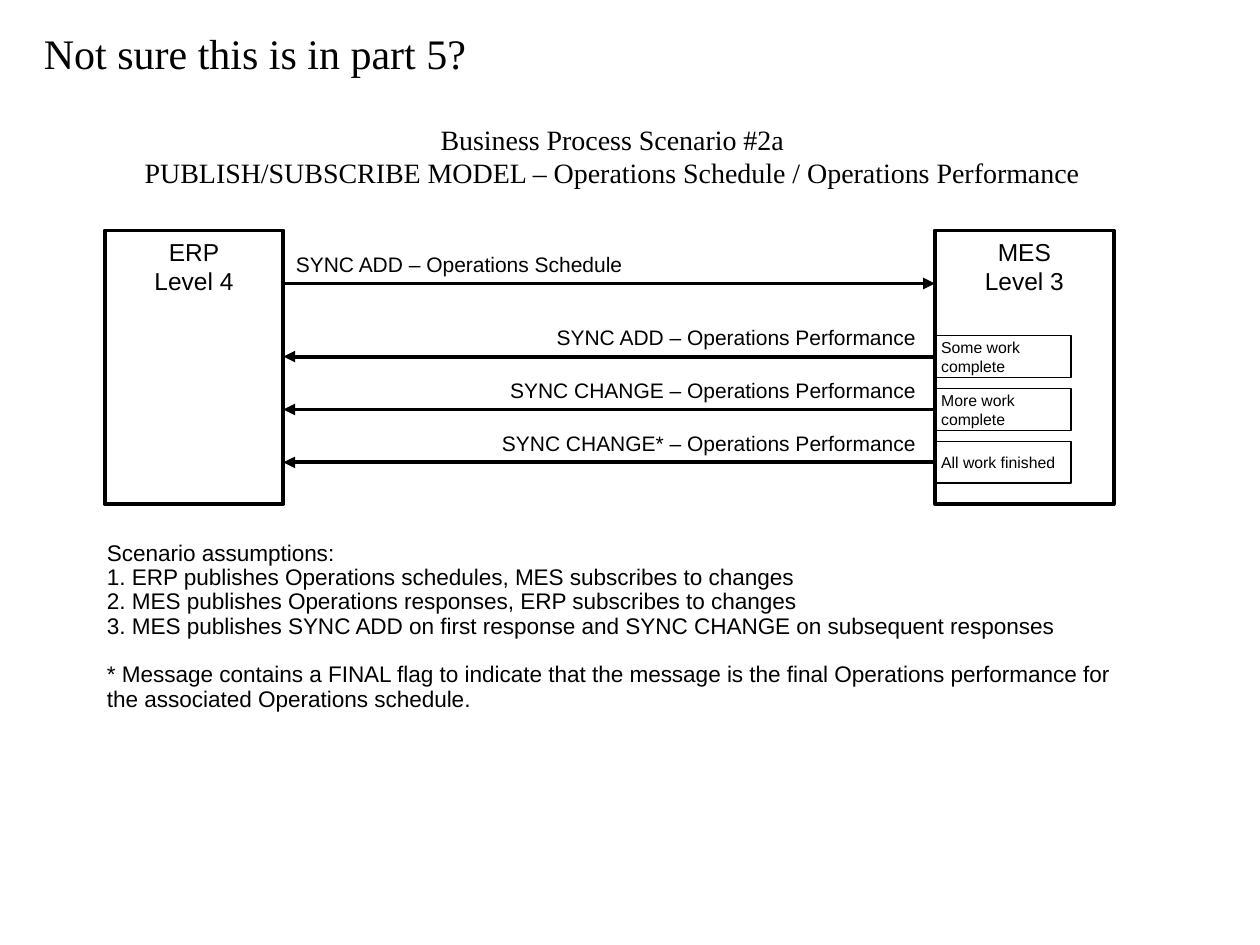
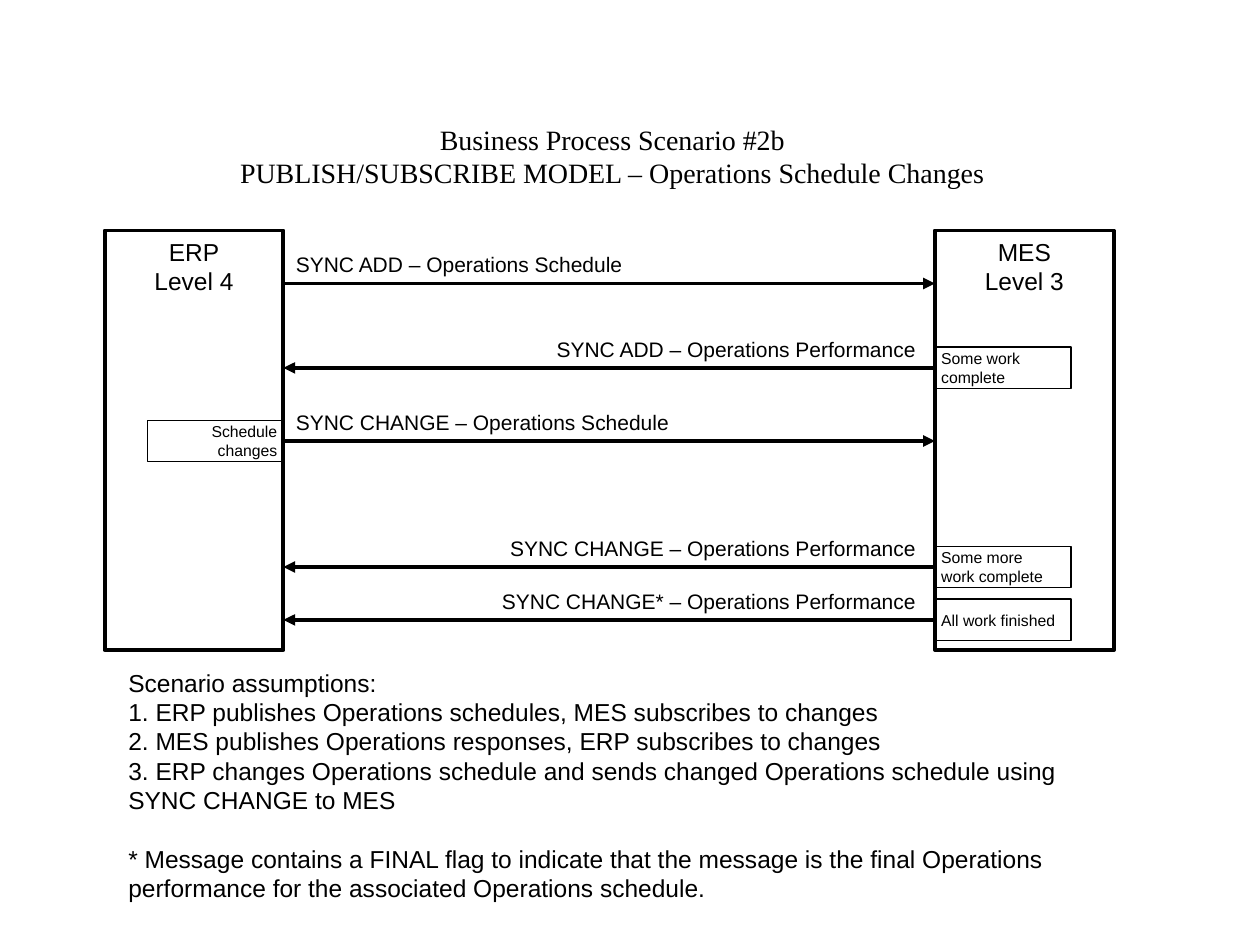
from dataclasses import dataclass

from lxml import etree
from pptx import Presentation
from pptx.dml.color import RGBColor
from pptx.enum.shapes import MSO_CONNECTOR, MSO_SHAPE
from pptx.enum.text import MSO_ANCHOR, MSO_AUTO_SIZE, PP_ALIGN
from pptx.oxml.ns import qn
from pptx.util import Inches, Pt

LEFT, CENTER, RIGHT = PP_ALIGN.LEFT, PP_ALIGN.CENTER, PP_ALIGN.RIGHT
TOP, MIDDLE = MSO_ANCHOR.TOP, MSO_ANCHOR.MIDDLE
NO_AUTOFIT = MSO_AUTO_SIZE.NONE
RECTANGLE = MSO_SHAPE.RECTANGLE
STRAIGHT = MSO_CONNECTOR.STRAIGHT

BLACK = RGBColor(0x00, 0x00, 0x00)
WHITE = RGBColor(0xFF, 0xFF, 0xFF)
SANS = "Arial"
SERIF = "Times New Roman"

SYSTEM_TOP, SYSTEM_WIDTH = 1.83, 1.42
ERP_LEFT, MES_LEFT = 0.83, 7.42
ERP_EDGE = ERP_LEFT + SYSTEM_WIDTH
HEAVY, THIN = 2.24, 0.74
NOTE_WIDTH, NOTE_HEIGHT = 1.08, 0.33
LABEL_HEIGHT = 0.3
LABEL_RIGHT = 7.37
HEADING_CENTER = 4.86

FINAL_FLAG = (
    "* Message contains a FINAL flag to indicate that the message is the final "
    "Operations performance for the associated Operations schedule."
)
SHARED_ASSUMPTIONS = [
    "Scenario assumptions:",
    "1. ERP publishes Operations schedules, MES subscribes to changes",
    "2. MES publishes Operations responses, ERP subscribes to changes",
]


@dataclass(frozen=True)
class Message:
    y: float
    label: str
    label_width: float
    from_erp: bool = False
    note: tuple[str, ...] = ()


@dataclass(frozen=True)
class Assumptions:
    box: tuple[float, float, float, float]
    third: str
    size: float
    spacing: float
    gap: float


@dataclass(frozen=True)
class Scenario:
    heading: tuple[str, str]
    heading_width: float
    system_height: float
    messages: tuple[Message, ...]
    assumptions: Assumptions
    query: str = ""


def write(shape, lines, *, size, font=SANS, align=LEFT, anchor=TOP, wrap=True,
          side=0.1, spacing=None, last_gap=0.0) -> None:
    frame = shape.text_frame
    frame.auto_size = NO_AUTOFIT
    frame.word_wrap = wrap
    frame.vertical_anchor = anchor
    frame.margin_left = frame.margin_right = Inches(side)
    frame.margin_top = frame.margin_bottom = Inches(0.05)
    for index, line in enumerate(lines):
        paragraph = frame.paragraphs[0] if index == 0 else frame.add_paragraph()
        paragraph.alignment = align
        paragraph.line_spacing = spacing
        run = paragraph.add_run()
        run.text = line
        run.font.size = Pt(size)
        run.font.name = font
        run.font.color.rgb = BLACK
    if last_gap:
        paragraph.space_before = Pt(last_gap)


def add_text(slide, box, lines, **text_format) -> None:
    textbox = slide.shapes.add_textbox(*map(Inches, box))
    write(textbox, lines, **text_format)


def add_box(slide, box, lines, *, weight: float, filled: bool, **text_format) -> None:
    rectangle = slide.shapes.add_shape(RECTANGLE, *map(Inches, box))
    rectangle.shadow.inherit = False
    if filled:
        rectangle.fill.solid()
        rectangle.fill.fore_color.rgb = WHITE
    else:
        rectangle.fill.background()
    rectangle.line.color.rgb = BLACK
    rectangle.line.width = Pt(weight)
    write(rectangle, lines, **text_format)


def add_arrow(slide, start: float, end: float, y: float) -> None:
    arrow = slide.shapes.add_connector(
        STRAIGHT, Inches(start), Inches(y), Inches(end), Inches(y))
    arrow.line.color.rgb = BLACK
    arrow.line.width = Pt(HEAVY)
    etree.SubElement(arrow.line._get_or_add_ln(), qn("a:tailEnd"), type="triangle")
    etree.SubElement(arrow._element.spPr, qn("a:effectLst"))


def add_message(slide, message: Message) -> None:
    y = message.y
    if message.from_erp:
        start, end, align = ERP_EDGE, MES_LEFT, LEFT
        label_left, note_left, note_align = ERP_EDGE, ERP_EDGE - NOTE_WIDTH, RIGHT
    else:
        start, end, align = MES_LEFT, ERP_EDGE, RIGHT
        label_left = LABEL_RIGHT - message.label_width
        note_left, note_align = MES_LEFT, LEFT
    add_arrow(slide, start, end, y)
    add_text(slide, (label_left, y - LABEL_HEIGHT, message.label_width, LABEL_HEIGHT),
             [message.label], size=12, align=align, wrap=False)
    if message.note:
        add_box(slide, (note_left, y - NOTE_HEIGHT / 2, NOTE_WIDTH, NOTE_HEIGHT),
                message.note, weight=THIN, filled=False, size=9, align=note_align,
                anchor=MIDDLE, wrap=False, side=0.05)


def add_heading(slide, lines, width: float) -> None:
    heading = slide.shapes.title
    heading.left, heading.top = Inches(HEADING_CENTER - width / 2), Inches(0.92)
    heading.width, heading.height = Inches(width), Inches(0.64)
    write(heading, lines, size=16, font=SERIF, align=CENTER, wrap=False)


def add_scenario(deck, scenario: Scenario) -> None:
    slide = deck.slides.add_slide(deck.slide_layouts.get_by_name("Title Only"))
    add_heading(slide, scenario.heading, scenario.heading_width)
    for left, lines in ((ERP_LEFT, ("ERP", "Level 4")), (MES_LEFT, ("MES", "Level 3"))):
        add_box(slide, (left, SYSTEM_TOP, SYSTEM_WIDTH, scenario.system_height), lines,
                weight=HEAVY, filled=True, size=14, align=CENTER)
    for message in scenario.messages:
        add_message(slide, message)
    assumptions = scenario.assumptions
    add_text(slide, assumptions.box,
             [*SHARED_ASSUMPTIONS, assumptions.third, FINAL_FLAG],
             size=assumptions.size, spacing=assumptions.spacing,
             last_gap=assumptions.gap)
    if scenario.query:
        add_text(slide, (0.25, 0.17, 4.17, 0.5), [scenario.query], size=24, font=SERIF)


SCHEDULE_ADDED = Message(2.25, "SYNC ADD – Operations Schedule", 2.8, from_erp=True)


def performance(y: float, verb: str, width: float, *note: str) -> Message:
    return Message(y, f"SYNC {verb} – Operations Performance", width, note=note)


SCENARIOS = (
    Scenario(
        heading=("Business Process Scenario #2a",
                 "PUBLISH/SUBSCRIBE MODEL – Operations Schedule / Operations Performance"),
        heading_width=7.63,
        system_height=2.17,
        messages=(
            SCHEDULE_ADDED,
            performance(2.83, "ADD", 3.06, "Some work", "complete"),
            performance(3.25, "CHANGE", 3.42, "More work", "complete"),
            performance(3.67, "CHANGE*", 3.49, "All work finished"),
        ),
        assumptions=Assumptions(
            box=(0.75, 4.25, 8.42, 1.75),
            third="3. MES publishes SYNC ADD on first response and SYNC CHANGE "
                  "on subsequent responses",
            size=12.9, spacing=0.9, gap=13.9),
        query="Not sure this is in part 5?",
    ),
    Scenario(
        heading=("Business Process Scenario #2b",
                 "PUBLISH/SUBSCRIBE MODEL – Operations Schedule Changes"),
        heading_width=6.11,
        system_height=3.33,
        messages=(
            SCHEDULE_ADDED,
            performance(2.92, "ADD", 3.06, "Some work", "complete"),
            Message(3.5, "SYNC CHANGE – Operations Schedule", 3.16, from_erp=True,
                    note=("Schedule", "changes")),
            performance(4.5, "CHANGE", 3.42, "Some more", "work complete"),
            performance(4.92, "CHANGE*", 3.49, "All work finished"),
        ),
        assumptions=Assumptions(
            box=(0.92, 5.25, 8, 1.97),
            third="3. ERP changes Operations schedule and sends changed Operations "
                  "schedule using SYNC CHANGE to MES",
            size=14, spacing=1.0, gap=16.5),
    ),
)


def main() -> None:
    deck = Presentation()
    deck.slide_width, deck.slide_height = Inches(10), Inches(7.5)
    for scenario in SCENARIOS:
        add_scenario(deck, scenario)
    deck.save("out.pptx")


main()
